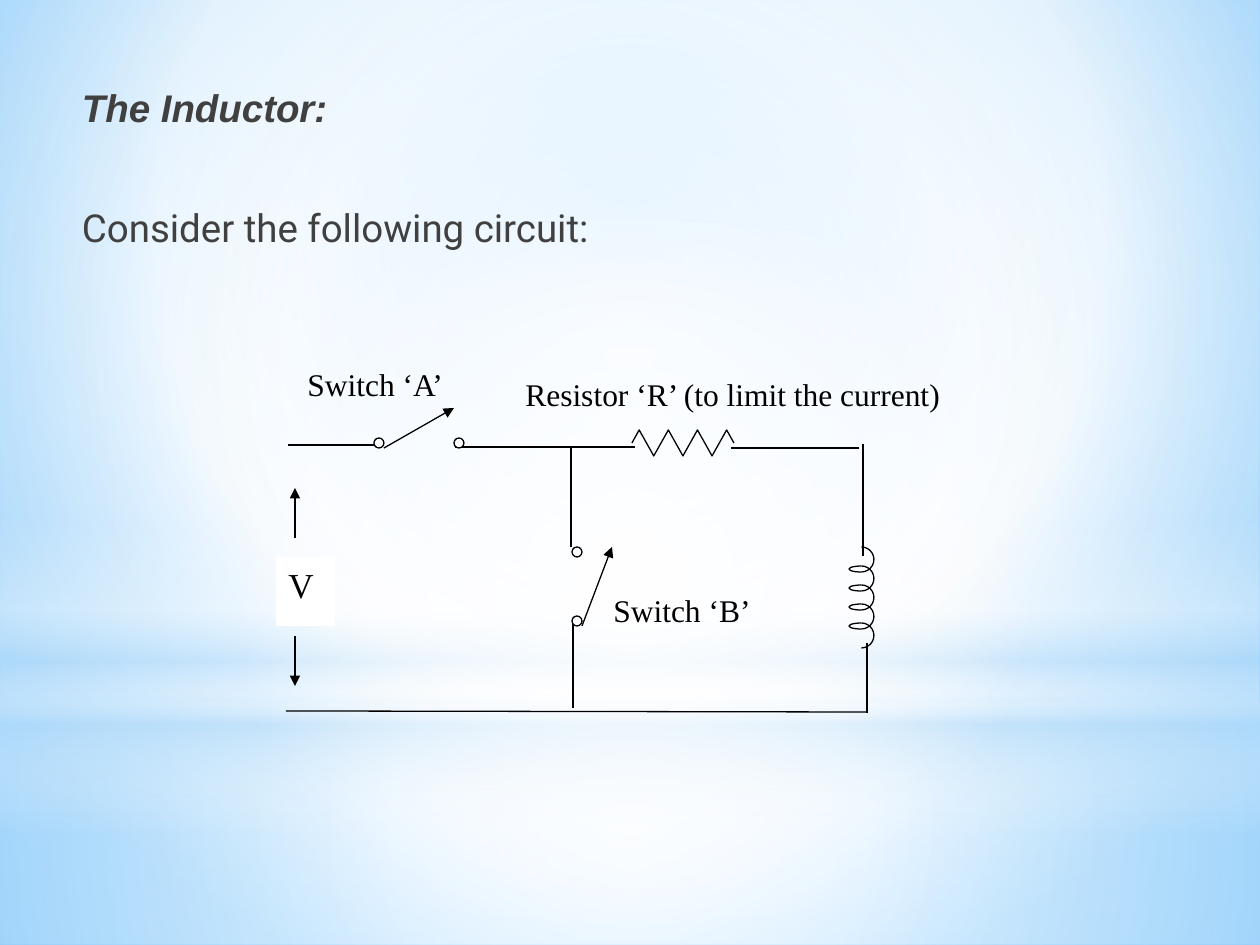
from lxml import etree
from pptx import Presentation
from pptx.dml.color import RGBColor
from pptx.enum.shapes import MSO_CONNECTOR, MSO_SHAPE
from pptx.enum.text import MSO_ANCHOR, PP_ALIGN
from pptx.oxml.ns import qn
from pptx.util import Pt

STRAIGHT = MSO_CONNECTOR.STRAIGHT
RECTANGLE, OVAL, ARC = MSO_SHAPE.RECTANGLE, MSO_SHAPE.OVAL, MSO_SHAPE.ARC
TOP, LEFT = MSO_ANCHOR.TOP, PP_ALIGN.LEFT
SCALE = 914400 / 126
WIDTH, HEIGHT = 1260, 945

COLORS = {"ink": "000000", "body": "404040", "white": "FFFFFF",
          "sky": "9ED5FF", "blue": "5BB9FF", "pale": "B4DCFA"}
SERIF = "Times New Roman"

CENTER = (50, 50, 50, 50)
BACKGROUND = [(0, "sky", 100), (60, "white", 100), (100, "blue", 100)]
GLOWS = [
    (RECTANGLE, (0, 703, 1260, 242), CENTER,
     [(0, "white", 91), (37, "white", 76), (100, "pale", 79)]),
    (RECTANGLE, (0, 0, 1260, 703), CENTER,
     [(0, "white", 89), (48, "white", 62), (100, "pale", 79)]),
    (RECTANGLE, (0, 519, 1260, 315), None,
     [(0, "white", 0), (29, "white", 30), (45, "pale", 40),
      (55, "white", 26), (65, "pale", 60), (100, "white", 0)]),
    (OVAL, (0, 220, 1260, 703), CENTER, [(0, "white", 100), (56, "white", 0)]),
]

HEADING = [("The Inductor:", "Arial", True, 0),
           ("Consider the following circuit:", "Roboto", False, 42)]
LABELS = [("Switch ‘B’", (601, 585, 179, 91), 18),
          ("Resistor ‘R’ (to limit the current)", (513, 369, 490, 43), 18),
          ("V", (276, 557, 59, 69), 20),
          ("Switch ‘A’", (295, 359, 179, 91), 18)]

WIRES = [(288, 445, 375, 445), (455, 447, 635, 447), (863, 444, 863, 556),
         (867, 643, 867, 713), (867, 712, 286, 711), (571, 446, 571, 547),
         (573, 622, 573, 708), (731, 448, 859, 448)]
ARROWS = [(384, 448, 454, 408), (582, 626, 612, 547),
          (295, 538, 295, 488), (295, 636, 295, 686)]
TERMINALS = [(374, 438), (454, 438), (572, 616), (572, 547)]
COIL_X, COIL_Y, COIL_SIZE, COIL_STEP, COIL_TURNS = 849, 547, 25, 19, 5
RESISTOR_X, RESISTOR_Y, RESISTOR_WIDTH, RESISTOR_RISE = 632, 443, 102, 13
RESISTOR_PEAKS = 7


def emu(*lengths):
    return [round(length * SCALE) for length in lengths]


def rgb(name):
    return RGBColor.from_string(COLORS[name])


def set_gradient(fill, owner, stops, focus):
    fill.gradient()
    gradient = owner.find(".//" + qn("a:gradFill"))
    gradient.clear()
    gradient.set("rotWithShape", "1")
    stop_list = etree.SubElement(gradient, qn("a:gsLst"))
    for position, color, opacity in stops:
        stop = etree.SubElement(stop_list, qn("a:gs"), pos=str(position * 1000))
        value = etree.SubElement(stop, qn("a:srgbClr"), val=COLORS[color])
        if opacity < 100:
            etree.SubElement(value, qn("a:alpha"), val=str(opacity * 1000))
    if focus:
        radial = etree.SubElement(gradient, qn("a:path"), path="circle")
        sides = {side: str(share * 1000) for side, share in zip("ltrb", focus)}
        etree.SubElement(radial, qn("a:fillToRect"), **sides)
    else:
        etree.SubElement(gradient, qn("a:lin"), ang="5400000", scaled="0")


def set_outline(line):
    line.color.rgb = rgb("ink")
    line.width = Pt(0.75)


def add_preset(slide, preset, box, fill=None, outlined=True):
    shape = slide.shapes.add_shape(preset, *emu(*box))
    shape.shadow.inherit = False
    if fill:
        shape.fill.solid()
        shape.fill.fore_color.rgb = rgb(fill)
    else:
        shape.fill.background()
    if outlined:
        set_outline(shape.line)
    else:
        shape.line.fill.background()
    return shape


def add_wire(slide, ends, arrow=False):
    wire = slide.shapes.add_connector(STRAIGHT, *emu(*ends))
    set_outline(wire.line)
    properties = wire._element.spPr
    if arrow:
        outline = properties.find(qn("a:ln"))
        etree.SubElement(outline, qn("a:tailEnd"), type="triangle")
    etree.SubElement(properties, qn("a:effectLst"))


def add_heading(slide):
    frame = slide.shapes.add_textbox(*emu(82, 84, 1060, 170)).text_frame
    frame.word_wrap = True
    frame.margin_left = frame.margin_right = 0
    frame.margin_top = frame.margin_bottom = 0
    for index, (text, font_name, strong, gap) in enumerate(HEADING):
        paragraph = frame.add_paragraph() if index else frame.paragraphs[0]
        paragraph.text = text
        if gap:
            paragraph.space_before = Pt(gap)
        font = paragraph.font
        font.name, font.size = font_name, Pt(22)
        font.bold = font.italic = strong
        font.color.rgb = rgb("body")


def add_label(slide, text, box, size):
    if text == "V":
        shape = add_preset(slide, RECTANGLE, box, "white", outlined=False)
    else:
        shape = slide.shapes.add_textbox(*emu(*box))
    frame = shape.text_frame
    frame.word_wrap = True
    frame.vertical_anchor = TOP
    paragraph = frame.paragraphs[0]
    paragraph.text = text
    paragraph.alignment = LEFT
    paragraph.font.name, paragraph.font.size = SERIF, Pt(size)
    paragraph.font.color.rgb = rgb("ink")


def add_arc(slide, box, start, end):
    arc = add_preset(slide, ARC, box)
    arc.adjustments[0] = start * 0.6
    arc.adjustments[1] = end * 0.6


def add_coil(slide):
    for turn in range(COIL_TURNS):
        top = COIL_Y + turn * COIL_STEP
        add_arc(slide, (COIL_X, top, COIL_SIZE, COIL_SIZE), 270, 90)
        if turn:
            add_arc(slide, (COIL_X, top, COIL_SIZE, 6), 90, 270)


def add_resistor(slide):
    step = RESISTOR_WIDTH / RESISTOR_PEAKS
    points = [(RESISTOR_X + (index + 0.5) * step,
               RESISTOR_Y + (RESISTOR_RISE if index % 2 else -RESISTOR_RISE))
              for index in range(RESISTOR_PEAKS)]
    points.append((RESISTOR_X + RESISTOR_WIDTH, RESISTOR_Y))
    builder = slide.shapes.build_freeform(*emu(RESISTOR_X, RESISTOR_Y))
    builder.add_line_segments([emu(*point) for point in points], close=False)
    resistor = builder.convert_to_shape()
    resistor.shadow.inherit = False
    resistor.fill.background()
    set_outline(resistor.line)


def main():
    presentation = Presentation()
    presentation.slide_width, presentation.slide_height = emu(WIDTH, HEIGHT)
    slide = presentation.slides.add_slide(presentation.slide_layouts[6])
    set_gradient(slide.background.fill, slide._element, BACKGROUND, (20, 10, 20, 60))
    for preset, box, focus, stops in GLOWS:
        glow = add_preset(slide, preset, box, outlined=False)
        set_gradient(glow.fill, glow._element, stops, focus)
    add_heading(slide)
    for ends in WIRES:
        add_wire(slide, ends)
    add_coil(slide)
    add_resistor(slide)
    for left, top in TERMINALS:
        add_preset(slide, OVAL, (left, top, 10, 10), "white")
    for ends in ARROWS:
        add_wire(slide, ends, arrow=True)
    for text, box, size in LABELS:
        add_label(slide, text, box, size)
    presentation.save("out.pptx")


if __name__ == "__main__":
    main()
